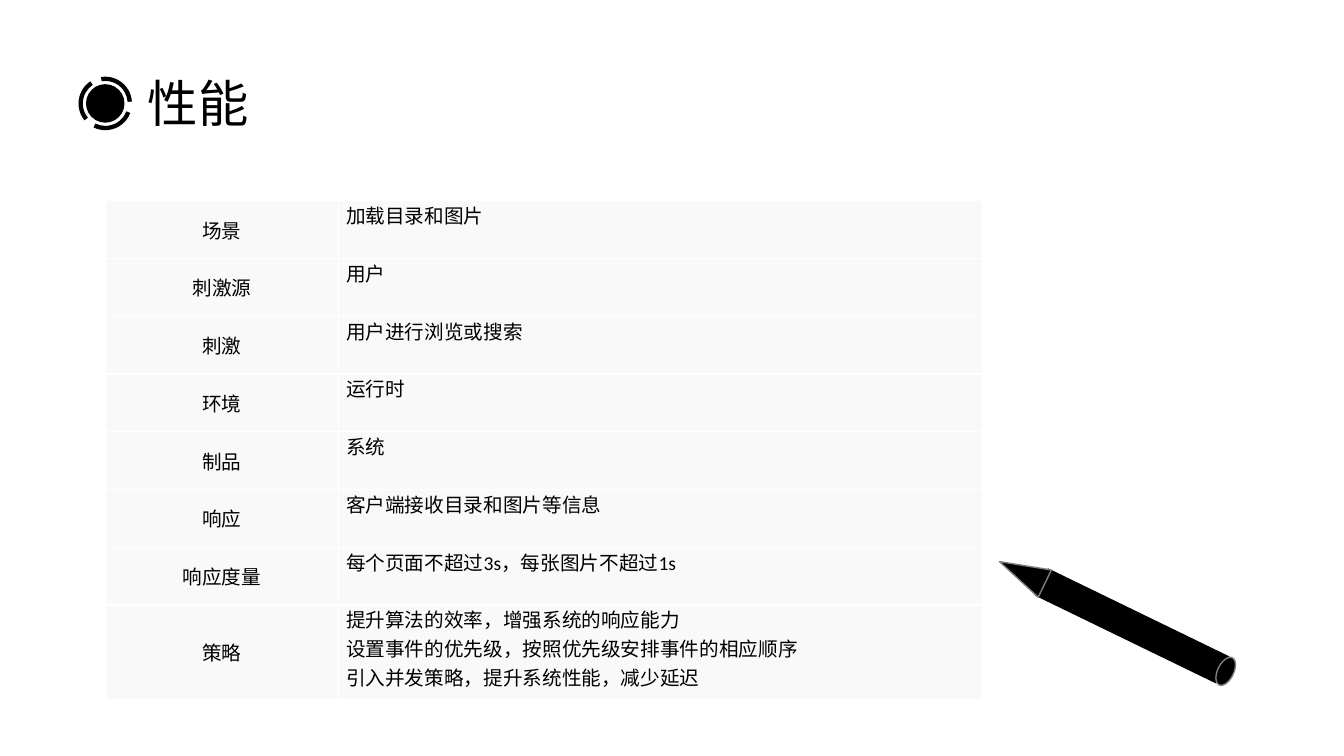
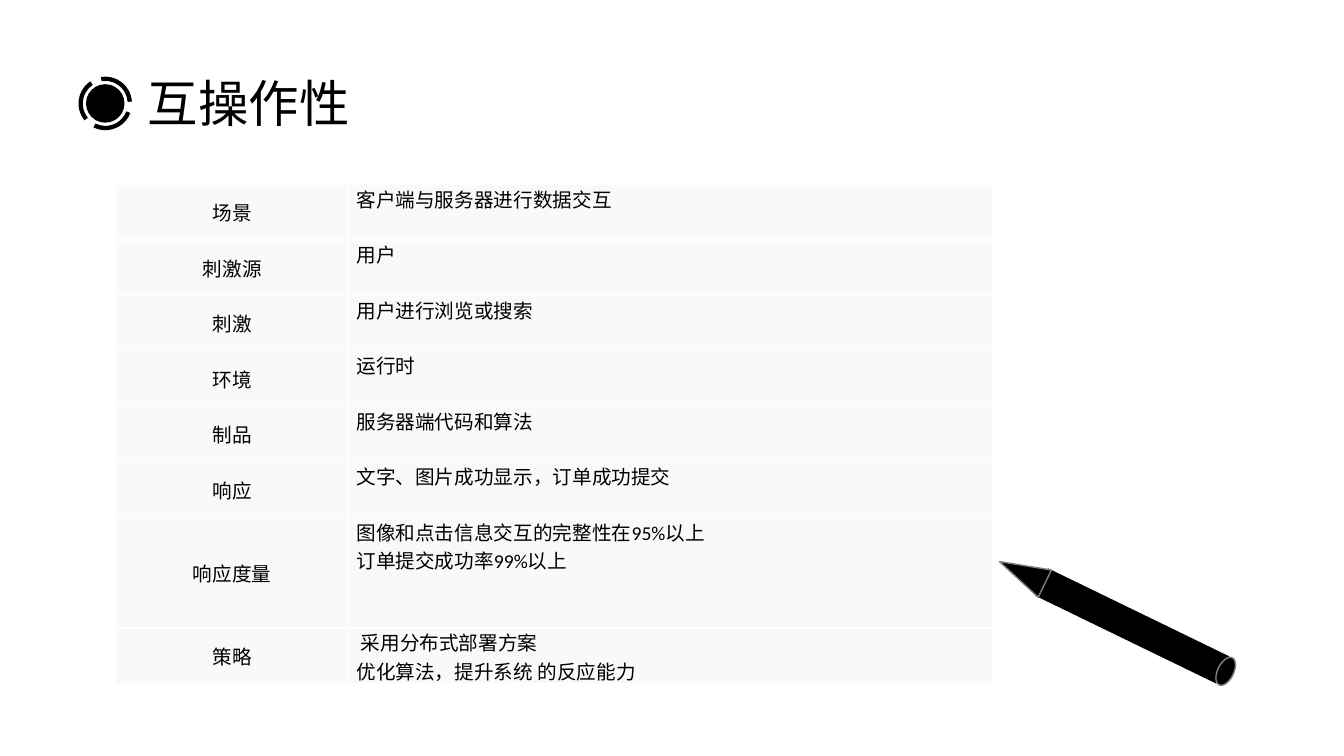
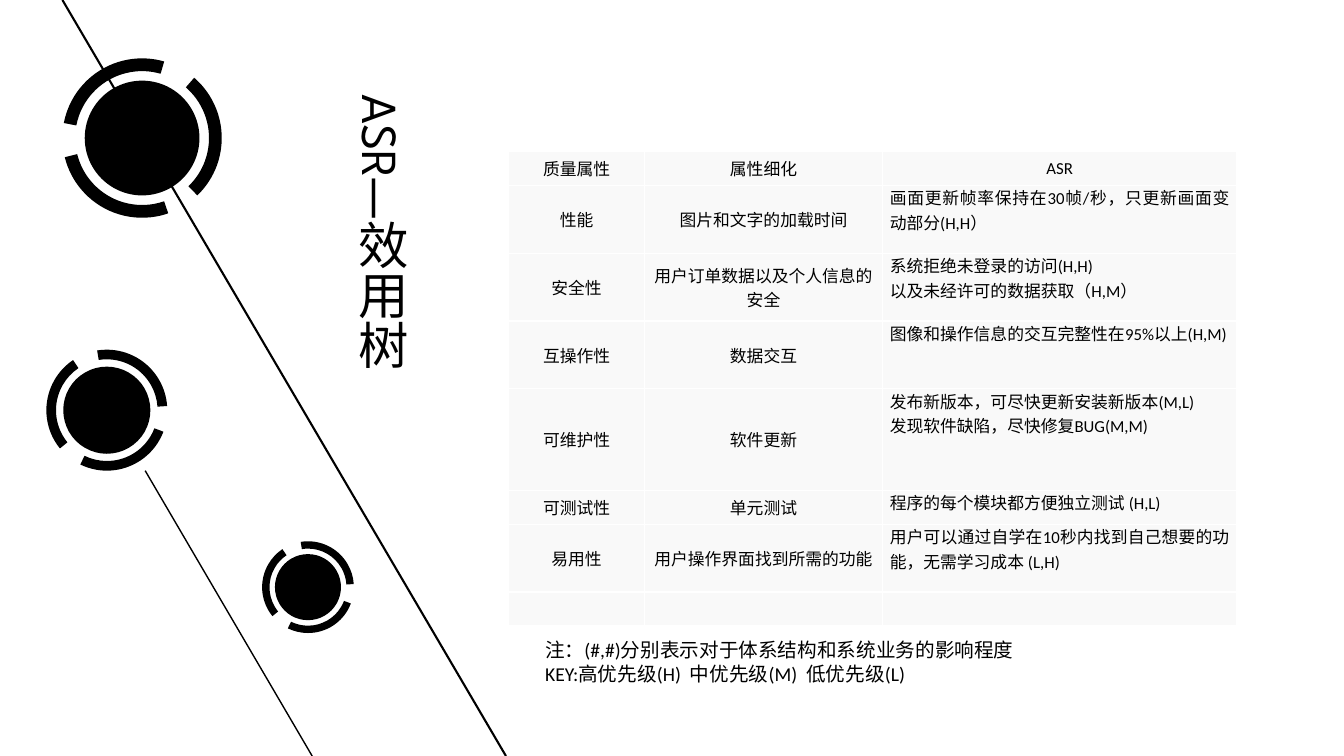
from dataclasses import dataclass

from lxml import etree
from pptx import Presentation
from pptx.dml.color import RGBColor
from pptx.enum.shapes import MSO_CONNECTOR, MSO_SHAPE
from pptx.enum.text import MSO_ANCHOR, PP_ALIGN
from pptx.oxml.ns import qn
from pptx.util import Pt

RECT, OVAL = MSO_SHAPE.RECTANGLE, MSO_SHAPE.OVAL
ARC, TRIANGLE = MSO_SHAPE.BLOCK_ARC, MSO_SHAPE.ISOSCELES_TRIANGLE
STRAIGHT = MSO_CONNECTOR.STRAIGHT
MIDDLE, TOP = MSO_ANCHOR.MIDDLE, MSO_ANCHOR.TOP
CENTER, JUSTIFY, LEFT = PP_ALIGN.CENTER, PP_ALIGN.JUSTIFY, PP_ALIGN.LEFT


@dataclass(frozen=True)
class Theme:
    ink: RGBColor = RGBColor(0, 0, 0)
    edge: RGBColor = RGBColor(0x80, 0x80, 0x80)
    cell: RGBColor = RGBColor(0xF9, 0xF9, 0xF9)
    border: str = "FFFFFF"
    title_font: str = "League Spartan"
    body_font: str = "Calibri"
    cjk_font: str = "Noto Sans CJK SC"
    title: int = 36
    body: int = 14
    small: int = 12


T = Theme()

# Table contents; a line break starts a new paragraph
LABELS = ["场景", "刺激源", "刺激", "环境", "制品", "响应", "响应度量", "策略"]
PERFORMANCE = [
    "加载目录和图片", "用户", "用户进行浏览或搜索", "运行时", "系统",
    "客户端接收目录和图片等信息",
    "每个页面不超过3s，每张图片不超过1s",
    "提升算法的效率，增强系统的响应能力\n"
    "设置事件的优先级，按照优先级安排事件的相应顺序\n"
    "引入并发策略，提升系统性能，减少延迟",
]
INTEROPERABILITY = [
    "客户端与服务器进行数据交互", "用户", "用户进行浏览或搜索", "运行时",
    "服务器端代码和算法", "文字、图片成功显示，订单成功提交",
    "图像和点击信息交互的完整性在95%以上\n订单提交成功率99%以上",
    " 采用分布式部署方案\n优化算法，提升系统 的反应能力",
]
UTILITY_TREE = [
    ("质量属性", "属性细化", "ASR"),
    ("性能", "图片和文字的加载时间",
     "画面更新帧率保持在30帧/秒，只更新画面变动部分(H,H）"),
    ("安全性", "用户订单数据以及个人信息的安全",
     "系统拒绝未登录的访问(H,H)\n以及未经许可的数据获取（H,M）"),
    ("互操作性", "数据交互", "图像和操作信息的交互完整性在95%以上(H,M)"),
    ("可维护性", "软件更新",
     "发布新版本，可尽快更新安装新版本(M,L)\n发现软件缺陷，尽快修复BUG(M,M)"),
    ("可测试性", "单元测试", "程序的每个模块都方便独立测试 (H,L)"),
    ("易用性", "用户操作界面找到所需的功能",
     "用户可以通过自学在10秒内找到自己想要的功能，无需学习成本 (L,H)"),
    ("", "", ""),
]
NOTE = ("注：(#,#)分别表示对于体系结构和系统业务的影响程度\n"
        "KEY:高优先级(H)  中优先级(M)  低优先级(L)")


def write(tf, text, size, font, align=LEFT):
    tf.word_wrap = True
    for i, line in enumerate(text.split("\n")):
        p = tf.add_paragraph() if i else tf.paragraphs[0]
        p.text = line
        p.alignment = align
        p.font.size = Pt(size)
        p.font.name = font
        p.font.color.rgb = T.ink


def add_text(s, box, text, size, font, vertical=False):
    tf = s.shapes.add_textbox(*map(Pt, box)).text_frame
    write(tf, text, size, font)
    if vertical:
        tf._txBody.bodyPr.set("vert", "eaVert")


def add_solid(group, kind, center, size, rotation=0, outlined=False):
    (x, y), (w, h) = center, size
    sp = group.shapes.add_shape(kind, Pt(x - w / 2), Pt(y - h / 2), Pt(w), Pt(h))
    sp.rotation = rotation
    sp.shadow.inherit = False
    sp.fill.solid()
    sp.fill.fore_color.rgb = T.ink
    if outlined:
        sp.line.color.rgb = T.edge
        sp.line.width = Pt(1)
    else:
        sp.line.fill.background()
    return sp


def add_ring(s, center, diameter, turn=0):
    """A disc inside three arcs, a third of a turn apart."""
    group = s.shapes.add_group_shape()
    add_solid(group, OVAL, center, (diameter * 0.72,) * 2)
    for k in range(3):
        arc = add_solid(group, ARC, center, (diameter,) * 2, turn + 120 * k)
        for i, value in enumerate((156.51, 213.66, 0.08)):
            arc.adjustments[i] = value


def add_pencil(s):
    group = s.shapes.add_group_shape()
    tilt = 115.9
    add_solid(group, RECT, (808.6, 447.1), (21.6, 144), tilt)
    add_solid(group, OVAL, (875.5, 479.5), (21.6, 11.5), tilt, True)
    add_solid(group, TRIANGLE, (730.1, 409), (21.6, 36), tilt + 180, True)


def add_line(s, start, end, width):
    c = s.shapes.add_connector(STRAIGHT, *map(Pt, start + end))
    c.line.color.rgb = T.ink
    c.line.width = Pt(width)
    etree.SubElement(c._element.spPr, qn("a:effectLst"))


def style_cell(cell):
    cell.margin_left = cell.margin_right = Pt(5.4)
    cell.margin_top = cell.margin_bottom = 0
    tcPr = cell._tc.get_or_add_tcPr()
    for side in ("lnL", "lnR", "lnT", "lnB"):
        ln = etree.SubElement(tcPr, qn("a:" + side), w=str(Pt(1)))
        fill = etree.SubElement(ln, qn("a:solidFill"))
        etree.SubElement(fill, qn("a:srgbClr"), val=T.border)
    cell.fill.solid()
    cell.fill.fore_color.rgb = T.cell


def add_grid(s, left, top, widths, heights, rows, size, header=False):
    """The last column is justified from the top; the rest is centred."""
    frame = s.shapes.add_table(len(rows), len(widths), Pt(left), Pt(top),
                               Pt(sum(widths)), Pt(sum(heights)))
    table = frame.table
    table.first_row = table.horz_banding = False
    for column, width in zip(table.columns, widths):
        column.width = Pt(width)
    for i, (row, height) in enumerate(zip(rows, heights)):
        table.rows[i].height = Pt(height)
        for j, text in enumerate(row):
            prose = j == len(row) - 1 and not (header and i == 0)
            cell = table.cell(i, j)
            style_cell(cell)
            cell.vertical_anchor = TOP if prose else MIDDLE
            font = T.cjk_font if prose and row[0] == "策略" else T.body_font
            write(cell.text_frame, text, size, font, JUSTIFY if prose else CENTER)


def scenario_slide(s, title, left, top, heights, answers):
    add_pencil(s)
    add_text(s, (98.6, 48.2, 378, 51), title, T.title, T.title_font)
    add_ring(s, (75.2, 73.9), 38.2)
    add_grid(s, left, top, (166.6, 459.8), heights,
             list(zip(LABELS, answers)), T.body)


def utility_slide(s):
    # Rings and diagonals
    add_ring(s, (101.5, 98.6), 113.8, 50)
    add_ring(s, (76.3, 293), 86.4)
    add_ring(s, (220, 419.4), 65.5)
    add_line(s, (44.6, 0), (361.4, 540), 1.5)
    add_line(s, (103.7, 336.2), (223, 540), 1)
    # Title, note and table
    add_text(s, (239.8, 60.5, 58.3, 252), "ASR—效用树", T.title, T.title_font, True)
    add_text(s, (382.3, 452.2, 495.4, 63.4), NOTE, T.body, T.body_font)
    heights = [24.2 * lines for lines in (1, 2, 2, 2, 3, 1, 2, 1)]
    add_grid(s, 363.2, 108.3, (97.4, 169.6, 253.4), heights,
             UTILITY_TREE, T.small, header=True)


def main():
    prs = Presentation()
    prs.slide_width, prs.slide_height = Pt(960), Pt(540)
    blank = prs.slide_layouts[6]
    scenario_slide(prs.slides.add_slide(blank), "性能", 75.2, 143.3,
                   [41.3] * 7 + [67.2], PERFORMANCE)
    scenario_slide(prs.slides.add_slide(blank), "互操作性", 82.6, 131.8,
                   [39.6] * 6 + [79.2, 39.6], INTEROPERABILITY)
    utility_slide(prs.slides.add_slide(blank))
    prs.save("out.pptx")


if __name__ == "__main__":
    main()
